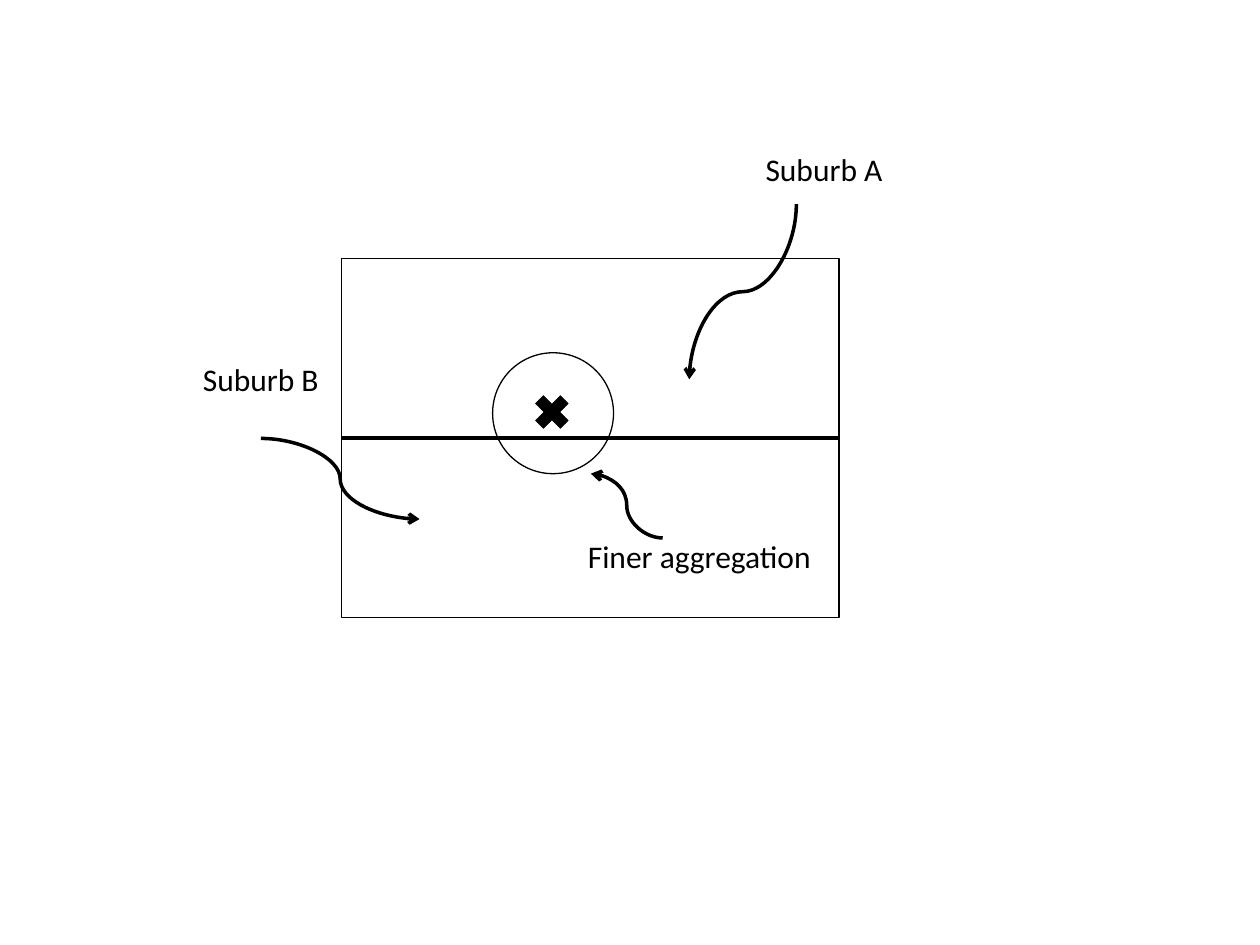
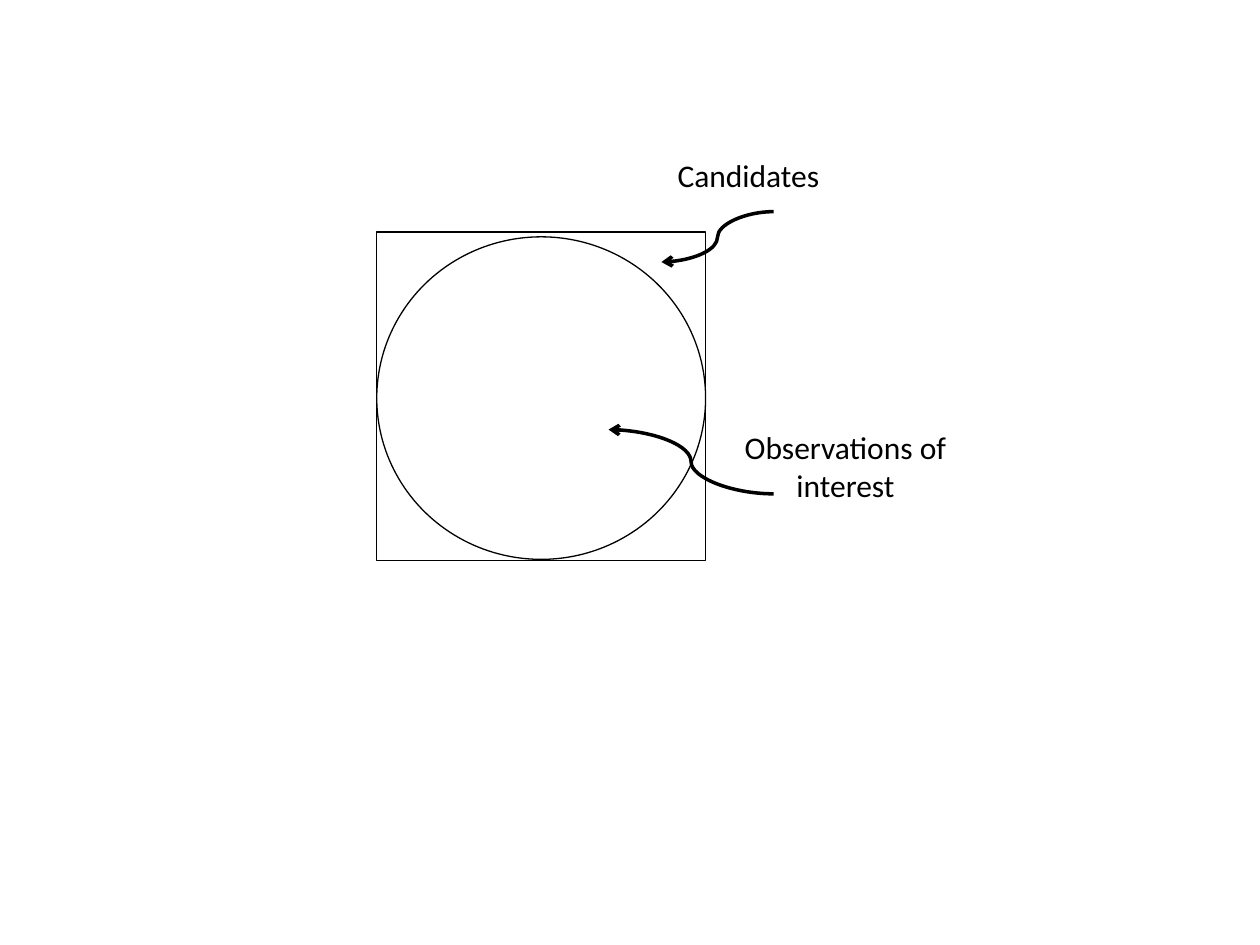
from typing import NamedTuple

from lxml import etree
from pptx import Presentation
from pptx.dml.color import RGBColor
from pptx.enum.shapes import MSO_CONNECTOR, MSO_SHAPE
from pptx.enum.text import MSO_ANCHOR, PP_ALIGN
from pptx.oxml.ns import qn
from pptx.shapes.autoshape import Shape
from pptx.shapes.connector import Connector
from pptx.slide import Slide
from pptx.util import Inches, Pt

RECT, OVAL, CROSS = MSO_SHAPE.RECTANGLE, MSO_SHAPE.OVAL, MSO_SHAPE.MATH_MULTIPLY
LINE, CURVE = MSO_CONNECTOR.STRAIGHT, MSO_CONNECTOR.CURVE
MIDDLE, CENTER = MSO_ANCHOR.MIDDLE, PP_ALIGN.CENTER

# Shared style: a grid of 100 columns by 75 rows
WIDE, HIGH = Inches(10), Inches(7.5)
COLS, ROWS = 100, 75
COLORS = {"ink": "000000", "page": "FFFFFF"}
FONT, SIZE = "Calibri", 18
THIN, FINE, BOLD = 0.75, 0.25, 2
TAG_W, TAG_H = 22.2, 9.8
LEFT, RIGHT = 1, 3  # connection sites of a rectangle


class Form(NamedTuple):
    kind: MSO_SHAPE
    x: float
    y: float
    w: float
    h: float
    solid: bool = False


class Tag(NamedTuple):
    text: str
    x: float
    y: float


class Arrow(NamedTuple):
    x1: float
    y1: float
    x2: float
    y2: float
    turned: bool = False  # leaves downwards instead of sideways


def col(n: float) -> int:
    return round(WIDE * n / COLS)


def row(n: float) -> int:
    return round(HIGH * n / ROWS)


def ink(name: str) -> RGBColor:
    return RGBColor.from_string(COLORS[name])


def draw_form(slide: Slide, form: Form) -> Shape:
    shape = slide.shapes.add_shape(
        form.kind, col(form.x), row(form.y), col(form.w), row(form.h))
    shape.shadow.inherit = False
    shape.line.color.rgb = ink("ink")
    shape.line.width = Pt(FINE if form.solid else THIN)
    if form.solid:
        shape.fill.solid()
        shape.fill.fore_color.rgb = ink("ink")
    else:
        shape.fill.background()
    return shape


def write(slide: Slide, text: str, x: float, y: float, w: float = TAG_W,
          h: float = TAG_H, size: float = SIZE, color: str = "ink") -> None:
    frame = slide.shapes.add_textbox(col(x), row(y), col(w), row(h)).text_frame
    frame.word_wrap = True
    frame.vertical_anchor = MIDDLE
    para = frame.paragraphs[0]
    para.alignment = CENTER
    run = para.add_run()
    run.text = text
    run.font.name, run.font.size = FONT, Pt(size)
    run.font.color.rgb = ink(color)


def add_line(slide: Slide, kind: MSO_CONNECTOR, x1: float, y1: float,
             x2: float, y2: float) -> Connector:
    line = slide.shapes.add_connector(kind, col(x1), row(y1), col(x2), row(y2))
    line.line.color.rgb = ink("ink")
    line.line.width = Pt(BOLD)
    etree.SubElement(line._element.spPr, qn("a:effectLst"))
    return line


def draw_arrow(slide: Slide, arrow: Arrow) -> None:
    x1, y1, x2, y2, turned = arrow
    if turned:
        # Swap the box's sides about its centre, then rotate it a quarter turn
        mid_x, mid_y = (x1 + x2) / 2, (y1 + y2) / 2
        half_w, half_h = abs(y2 - y1) / 2, abs(x2 - x1) / 2
        x1, x2 = mid_x - half_w, mid_x + half_w
        y1, y2 = mid_y - half_h, mid_y + half_h
    line = add_line(slide, CURVE, x1, y1, x2, y2)
    props = line._element.spPr
    if turned:
        props.find(qn("a:xfrm")).set("rot", str(90 * 60000))
    etree.SubElement(props.find(qn("a:ln")), qn("a:tailEnd"), type="arrow")


def add_slide(deck: Presentation) -> Slide:
    slide = deck.slides.add_slide(deck.slide_layouts[6])
    slide.background.fill.solid()
    slide.background.fill.fore_color.rgb = ink("page")
    return slide


def add_notes(slide: Slide, tags: list[Tag], arrows: list[Arrow]) -> None:
    for arrow in arrows:
        draw_arrow(slide, arrow)
    for tag in tags:
        write(slide, tag.text, tag.x, tag.y)


def draw_suburbs(slide: Slide) -> None:
    # Two suburbs share one border
    area = Form(RECT, 27.1, 20.5, 39.5, 28.5)
    box = draw_form(slide, area)
    mid = area.y + area.h / 2
    border = add_line(slide, LINE, area.x, mid, area.x + area.w, mid)
    border.begin_connect(box, LEFT)
    border.end_connect(box, RIGHT)

    # Marked place with its finer zone
    draw_form(slide, Form(CROSS, 41.9, 30.8, 3.8, 3.8, solid=True))
    draw_form(slide, Form(OVAL, 39.1, 28, 9.6, 9.6))

    add_notes(
        slide,
        [Tag("Suburb A", 54.3, 8.5), Tag("Suburb B", 9.6, 25.2),
         Tag("Finer aggregation", 44.4, 39.2)],
        [Arrow(63.2, 16.2, 54.7, 30.1, turned=True),
         Arrow(20.7, 34.8, 33.3, 41.2), Arrow(52.6, 42.7, 46.9, 37.6)])


def draw_search(slide: Slide) -> None:
    # Circle of interest inside the square of candidates
    draw_form(slide, Form(RECT, 29.9, 18.4, 26.1, 26.1))
    draw_form(slide, Form(OVAL, 29.9, 18.8, 26.1, 25.6))
    add_notes(
        slide,
        [Tag("Candidates", 48.3, 9), Tag("Observations of interest", 56, 32.1)],
        [Arrow(61.4, 16.8, 52.5, 20.8), Arrow(61.4, 39.2, 48.3, 34.1)])


def main() -> None:
    deck = Presentation()
    deck.slide_width, deck.slide_height = WIDE, HIGH
    for draw in (draw_suburbs, draw_search):
        draw(add_slide(deck))
    deck.save("out.pptx")


if __name__ == "__main__":
    main()
